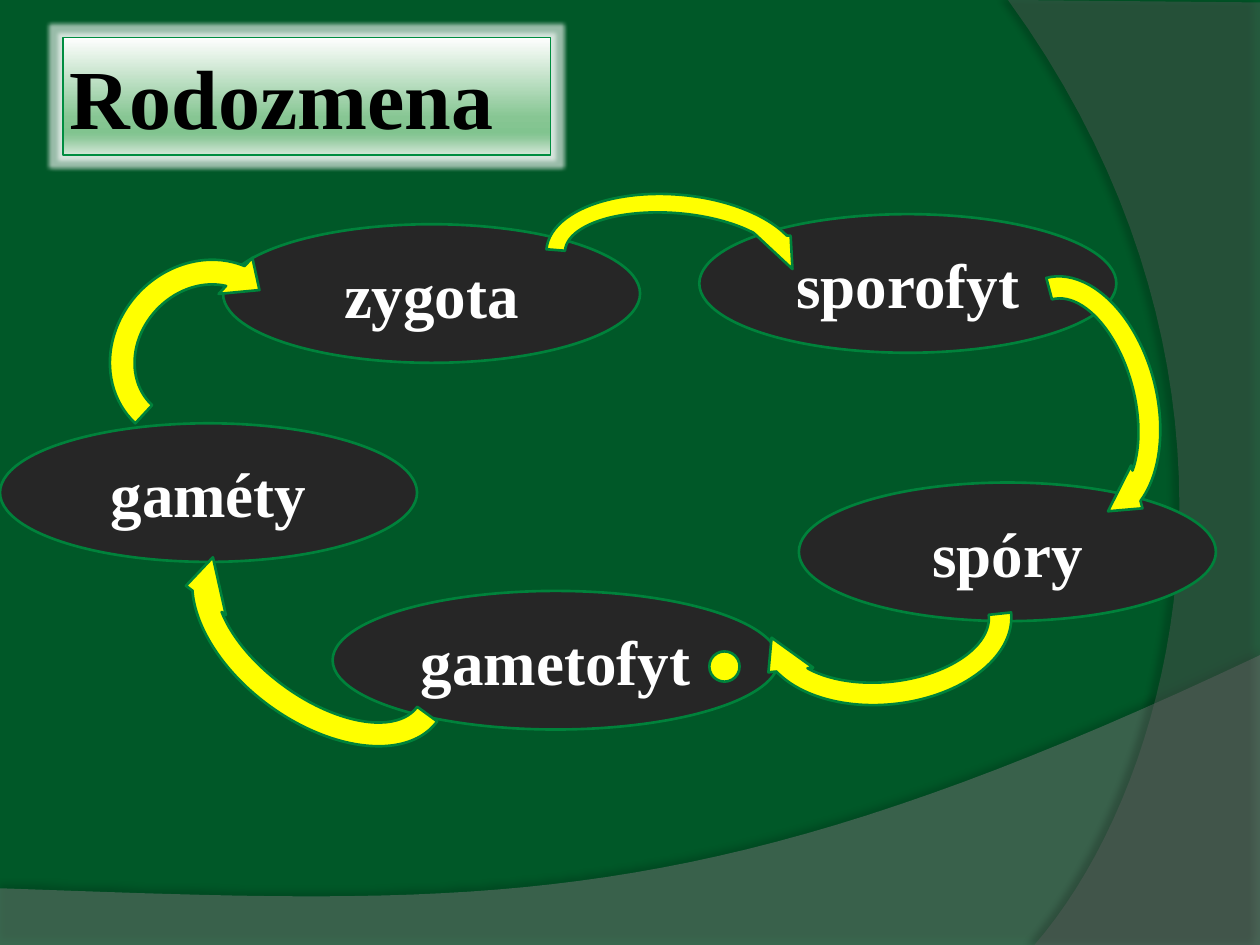
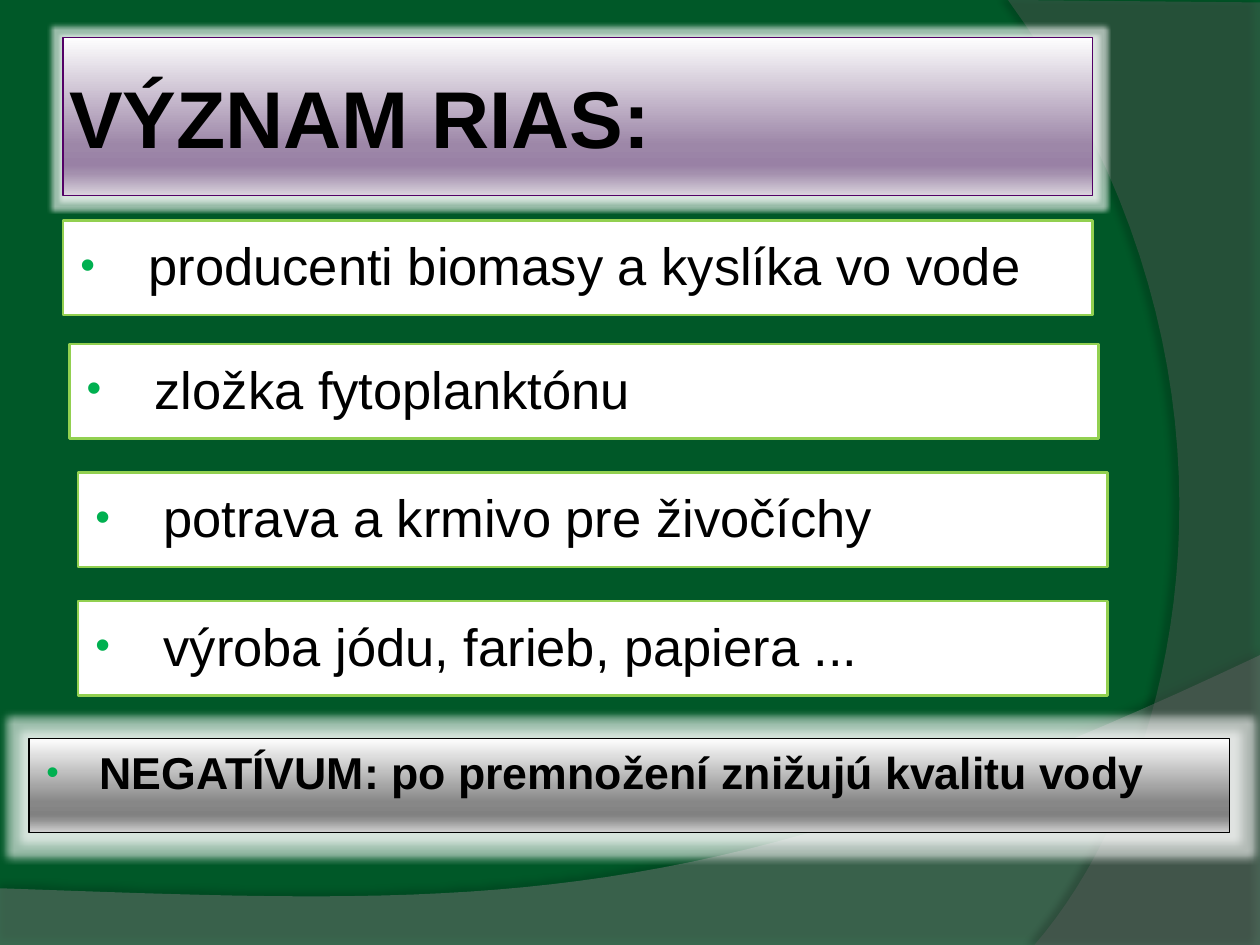
from collections import namedtuple
from dataclasses import dataclass

from lxml import etree
from pptx import Presentation
from pptx.dml.color import RGBColor
from pptx.enum import shapes as kinds, text as txt
from pptx.oxml import ns
from pptx.util import Inches, Pt

Box = namedtuple("Box", "left top width height")


@dataclass(frozen=True)
class Theme:
    background: str = "005828"
    hill: str = "7F7F7F"
    arc: str = "5E5E5E"
    stage: str = "262626"
    stage_line: str = "00823B"
    arrow: str = "FFFF00"
    row: str = "FFFFFF"
    row_line: str = "92D050"
    bullet: str = "00B050"
    light: str = "FFFFFF"
    dark: str = "000000"
    # Shading colours at the five gradient stops
    stops: tuple = (0, 68, 81, 86, 100)
    green: tuple = ("FEFEFE", "87C693", "81C48F", "90C99C", "D3E7D7")
    purple: tuple = ("FEFEFE", "9D87A8", "9981A5", "A490AE", "DAD3DD")
    grey: tuple = ("FEFEFE", "878787", "818181", "909090", "D3D3D3")
    serif: str = "Times New Roman"
    sans: str = "Arial"
    cycle_title: float = 48
    uses_title: float = 46
    stage_size: float = 36
    row_size: float = 30
    warning_size: float = 25.5


THEME = Theme()


def rgb(code):
    return RGBColor.from_string(code)


def add_xml(parent, tag, **attributes):
    return etree.SubElement(parent, ns.qn(tag), attributes)


def add_color(parent, code, alpha=None):
    color = add_xml(parent, "a:srgbClr", val=code)
    if alpha is not None:
        add_xml(color, "a:alpha", val=str(alpha * 1000))


def effect_list(shape):
    """Turn inherited effects off and return the list for own ones."""
    shape.shadow.inherit = False
    return shape.element.spPr.find(ns.qn("a:effectLst"))


def add_panel(slide, kind, box, fill, line, line_width=1.5):
    panel = slide.shapes.add_shape(kind, *(Inches(side) for side in box))
    effect_list(panel)
    if isinstance(fill, tuple):
        shade(panel, fill)
    else:
        panel.fill.solid()
        panel.fill.fore_color.rgb = rgb(fill)
    panel.line.color.rgb = rgb(line)
    panel.line.width = Pt(line_width)
    return panel


def shade(panel, colors):
    """Vertical gradient from top to bottom."""
    panel.fill.gradient()
    panel.fill.gradient_angle = 270
    stop_list = panel.element.spPr.find(".//" + ns.qn("a:gsLst"))
    stop_list.clear()
    for position, color in zip(THEME.stops, colors):
        add_color(add_xml(stop_list, "a:gs", pos=str(position * 1000)), color)


def add_glow(panel, radius):
    glow = add_xml(effect_list(panel), "a:glow", rad=str(Pt(radius)))
    add_color(glow, THEME.light, 60)


def write(panel, words, font, size, color, bold=False,
          align=txt.PP_ALIGN.LEFT, anchor=txt.MSO_ANCHOR.MIDDLE):
    frame = panel.text_frame
    frame.word_wrap = True
    frame.vertical_anchor = anchor
    frame.text = words
    paragraph = frame.paragraphs[0]
    paragraph.alignment = align
    face = paragraph.runs[0].font
    face.name, face.size, face.bold = font, Pt(size), bold
    face.color.rgb = rgb(color)
    return paragraph


def add_bullet(paragraph, margin):
    props = paragraph._p.get_or_add_pPr()
    props.set("marL", str(Inches(margin)))
    props.set("indent", str(Inches(0.04 - margin)))
    add_color(add_xml(props, "a:buClr"), THEME.bullet)
    add_xml(props, "a:buSzPct", val="80000")
    add_xml(props, "a:buFont", typeface=THEME.sans)
    add_xml(props, "a:buChar", char="•")


# Shared backdrop

def bezier(points, steps=40):
    """Points along a cubic curve, without its start."""
    for step in range(1, steps + 1):
        t = step / steps
        weights = ((1 - t) ** 3, 3 * t * (1 - t) ** 2,
                   3 * t ** 2 * (1 - t), t ** 3)
        yield tuple(sum(w * p[axis] for w, p in zip(weights, points))
                    for axis in (0, 1))


def add_band(slide, corners, curve, color, alpha, shadow):
    outline = [*corners, curve[0], *bezier(curve)]
    start, *rest = [(Inches(x), Inches(y)) for x, y in outline]
    builder = slide.shapes.build_freeform(*start)
    builder.add_line_segments(rest, close=True)
    band = builder.convert_to_shape()
    band.fill.solid()
    band.fill.fore_color.rgb = rgb(color)
    tint = band.element.spPr.find(".//" + ns.qn("a:srgbClr"))
    add_xml(tint, "a:alpha", val=str(alpha * 1000))
    band.line.fill.background()
    shadow_alpha, blur, distance, angle = shadow
    cast = add_xml(effect_list(band), "a:outerShdw", blurRad=str(Pt(blur)),
                   dist=str(Pt(distance)), dir=str(angle * 60000),
                   algn="ctr", rotWithShape="0")
    add_color(cast, THEME.dark, shadow_alpha)
    return band


def set_backdrop(slide, layout):
    """Draw both bands once and hand them to the layout."""
    layout.background.fill.solid()
    layout.background.fill.fore_color.rgb = rgb(THEME.background)
    for holder in list(layout.placeholders):
        layout.shapes.element.remove(holder.element)
    hill = add_band(slide, [(0, 7.5), (10, 7.5)],
                    [(10, 5.2), (5.59, 7.29), (3.91, 7.19), (0, 7.05)],
                    THEME.hill, 45, (35, 4, 3.5, 270))
    arc = add_band(slide, [(10, 0.02), (10, 7.5)],
                   [(8.21, 7.5), (9.35, 6.19), (10.18, 3), (8, 0)],
                   THEME.arc, 40, (45, 4, 4, 180))
    for band in (hill, arc):
        layout.shapes.element.append(band.element)


def add_title(slide, box, words, font, size, colors, line):
    title = add_panel(slide, kinds.MSO_SHAPE.RECTANGLE, box, colors, line, 0.75)
    add_glow(title, 5)
    title.text_frame.margin_left = title.text_frame.margin_right = Inches(0.05)
    write(title, words, font, size, THEME.dark, bold=True)


# Life cycle: stages joined by bent arrows

STAGES = [  # name, left, top, width
    ("gaméty", 0, 1.96, 3.31),
    ("zygota", 1.77, 0.38, 3.31),
    ("sporofyt", 5.55, 0.3, 3.31),
    ("spóry", 6.34, 2.43, 3.31),
    ("gametofyt", 2.64, 3.29, 3.54),
]
ARROWS = [  # box inside the cycle, rotation
    (Box(0.73, 0.61, 1.74, 1.57), 313),
    (Box(1.29, 2.86, 2.5, 1.57), 216.2),
    (Box(4.26, 0.07, 2.18, 1.18), 4.6),
    (Box(7.47, 1.07, 2.18, 1.41), 75.2),
    (Box(5.94, 2.85, 2.18, 1.43), 174),
]
DOT = Box(5.63, 3.77, 0.24, 0.24)


def add_cycle(slide, left, top):
    def place(kind, part, fill):
        spot = part._replace(left=left + part.left, top=top + part.top)
        return add_panel(slide, kind, spot, fill, THEME.stage_line)

    for name, x, y, width in STAGES:
        stage = place(kinds.MSO_SHAPE.OVAL, Box(x, y, width, 1.1), THEME.stage)
        write(stage, name, THEME.serif, THEME.stage_size, THEME.light,
              bold=True, align=txt.PP_ALIGN.CENTER)
    place(kinds.MSO_SHAPE.OVAL, DOT, THEME.arrow)
    for part, turn in ARROWS:
        arrow = place(kinds.MSO_SHAPE.CIRCULAR_ARROW, part, THEME.arrow)
        arrow.rotation = turn


# Uses of algae: bulleted rows and a warning

USES = [  # words, left, top
    ("producenti biomasy a kyslíka vo vode", 0, 0),
    ("zložka fytoplanktónu", 0.05, 0.98),
    ("potrava a krmivo pre živočíchy", 0.12, 2),
    ("výroba jódu, farieb, papiera ...", 0.12, 3.02),
]


def add_row(slide, box, words, size, fill, line, line_width, margin, bold=False):
    row = add_panel(slide, kinds.MSO_SHAPE.RECTANGLE, box, fill, line, line_width)
    row.text_frame.margin_top = Inches(0.1)
    paragraph = write(row, words, THEME.sans, size, THEME.dark, bold,
                      anchor=txt.MSO_ANCHOR.TOP)
    add_bullet(paragraph, margin)
    return row, paragraph


def add_uses(slide, left, top):
    for words, x, y in USES:
        add_row(slide, Box(left + x, top + y, 8.17, 0.75), words,
                THEME.row_size, THEME.row, THEME.row_line, 1.5, margin=0.58)


def add_warning(slide, box):
    warning, paragraph = add_row(
        slide, box, "NEGATÍVUM: po premnožení znižujú kvalitu vody",
        THEME.warning_size, THEME.grey, THEME.dark, 0.75, margin=0.46, bold=True)
    paragraph.line_spacing = 0.9
    add_glow(warning, 9)


def main():
    deck = Presentation()
    deck.slide_width, deck.slide_height = Inches(10), Inches(7.5)
    blank = deck.slide_layouts[6]

    cycle = deck.slides.add_slide(blank)
    set_backdrop(cycle, blank)
    add_title(cycle, Box(0.5, 0.3, 3.87, 0.93), "Rodozmena", THEME.serif,
              THEME.cycle_title, THEME.green, "008D40")
    add_cycle(cycle, left=0, top=1.4)

    uses = deck.slides.add_slide(blank)
    add_title(uses, Box(0.5, 0.3, 8.17, 1.25), "VÝZNAM RIAS:", THEME.sans,
              THEME.uses_title, THEME.purple, "530066")
    add_uses(uses, left=0.5, top=1.75)
    add_warning(uses, Box(0.23, 5.86, 9.53, 0.75))

    deck.save("out.pptx")


if __name__ == "__main__":
    main()
